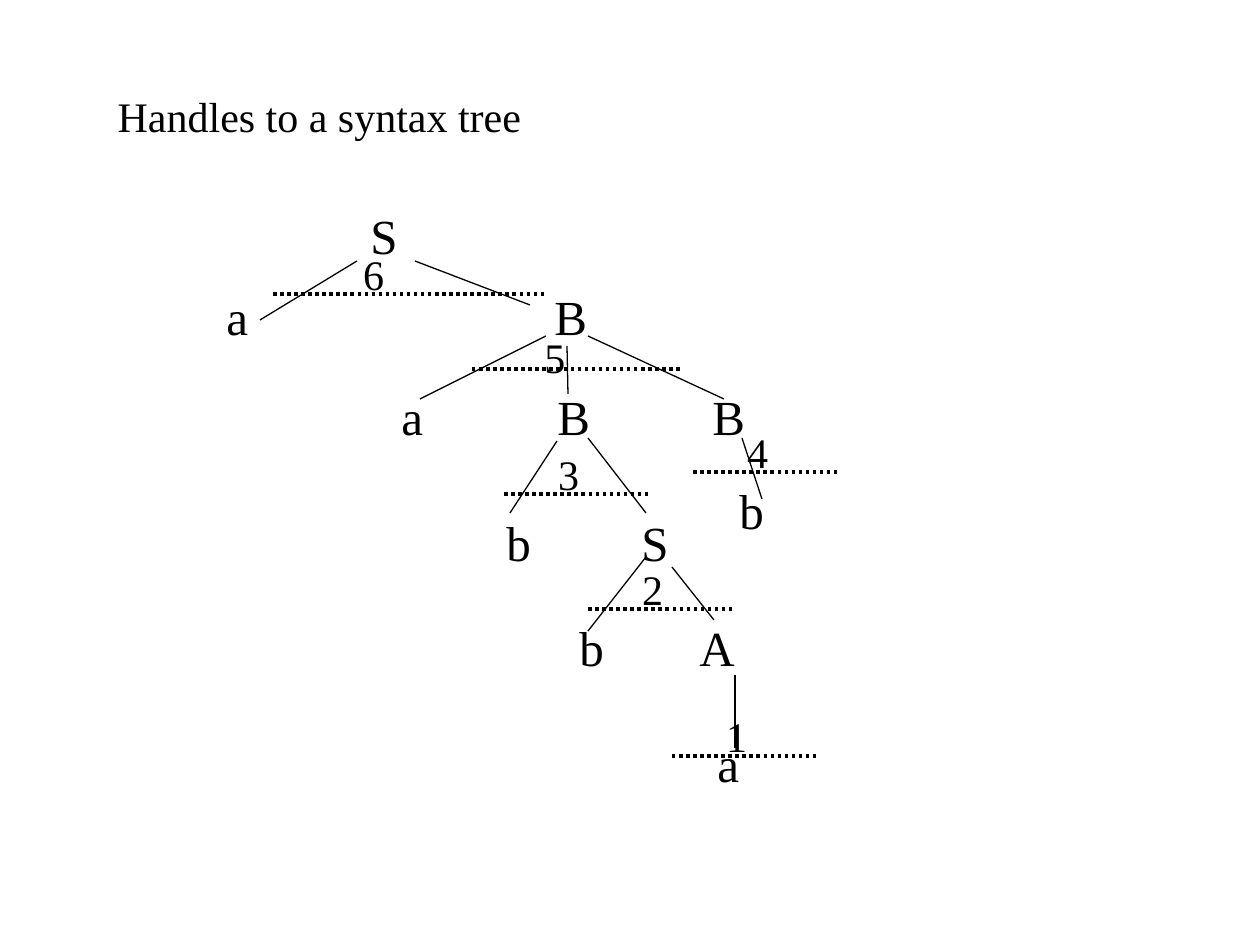
from lxml import etree
from pptx import Presentation
from pptx.dml.color import RGBColor
from pptx.enum.dml import MSO_LINE
from pptx.enum.shapes import MSO_CONNECTOR
from pptx.enum.text import MSO_ANCHOR, MSO_AUTO_SIZE, PP_ALIGN
from pptx.oxml.ns import qn
from pptx.util import Pt

STRAIGHT = MSO_CONNECTOR.STRAIGHT
DOTS = MSO_LINE.ROUND_DOT
TOP = MSO_ANCHOR.TOP
FIXED = MSO_AUTO_SIZE.NONE
LEFT = PP_ALIGN.LEFT
FONT = "Times New Roman"
INK = "000000"
SCALE = 914400 / 126


def px(n):
    return round(n * SCALE)


def paint(color, code):
    color.rgb = RGBColor.from_string(code)


def fill_text(shape, text, size, stops=()):
    frame = shape.text_frame
    frame.word_wrap = True
    frame.auto_size = FIXED
    frame.vertical_anchor = TOP
    frame.text = text
    par = frame.paragraphs[0]
    par.alignment = LEFT
    if stops:
        tabs = etree.SubElement(par._p.get_or_add_pPr(), qn("a:tabLst"))
        for stop in stops:
            etree.SubElement(tabs, qn("a:tab"), pos=str(px(stop)), algn="l")
    par.font.name = FONT
    par.font.size = Pt(size)
    paint(par.font.color, INK)


def add_text(slide, box, text, size, stops=()):
    shape = slide.shapes.add_textbox(*map(px, box))
    fill_text(shape, text, size, stops)


def add_line(slide, ends, width, dash=None):
    line = slide.shapes.add_connector(STRAIGHT, *map(px, ends))
    etree.SubElement(line._element.spPr, qn("a:effectLst"))
    paint(line.line.color, INK)
    line.line.width = Pt(width)
    if dash is not None:
        line.line.dash_style = dash


def add_title(slide, box, text):
    title = slide.shapes.title
    title.left, title.top, title.width, title.height = map(px, box)
    fill_text(title, text, 24)


def add_level(slide, x, y, w, nodes, stops=(), edges=()):
    """Sibling nodes on one line, with edges up to their parent."""
    add_text(slide, (x, y, w, 72), "\t".join(nodes), 28, stops)
    for x1, y1, x2, y2 in edges:
        add_line(slide, (x + x1, y + y1, x + x2, y + y2), 0.75)


def add_handle(slide, x, y, w, number, lift=52):
    """Dotted line with its number above."""
    add_line(slide, (x, y, x + w, y), 2, DOTS)
    add_text(slide, (x + w * 2 / 7, y - lift, w * 4 / 7, 63), number, 24)


# x, y, width, nodes, tab stops, edges relative to x and y
LEVELS = [
    (358, 199, 60, "S"),
    (214, 280, 400, "aB", [328], [(143, -19, 46, 40), (201, -19, 316, 25)]),
    (389, 380, 385, "aBB", [156, 311],
     [(157, -44, 31, 19), (178, -34, 179, 14), (199, -44, 335, 19)]),
    (494, 506, 200, "bS", [135], [(63, -65, 16, 7), (94, -68, 152, 7)]),
    (567, 611, 195, "bA", [120], [(79, -54, 21, 20), (105, -44, 147, 9)]),
    (705, 727, 55, "a", [], [(30, -52, 30, 21)]),
    (727, 474, 55, "b", [], [(15, -36, 35, 25)]),
]

# x, y, width, number, lift of the number where it differs
HANDLES = [
    (588, 609, 146, "2"),
    (693, 472, 146, "4"),
    (504, 494, 146, "3"),
    (273, 294, 272, "6"),
    (472, 369, 210, "5", 44),
    (672, 756, 146, "1"),
]


def main():
    deck = Presentation()
    deck.slide_width, deck.slide_height = px(1260), px(945)
    slide = deck.slides.add_slide(deck.slide_layouts[5])
    add_title(slide, (105, 84, 494, 63), "Handles to a syntax tree")
    for level in LEVELS:
        add_level(slide, *level)
    for handle in HANDLES:
        add_handle(slide, *handle)
    deck.save("out.pptx")


if __name__ == "__main__":
    main()
